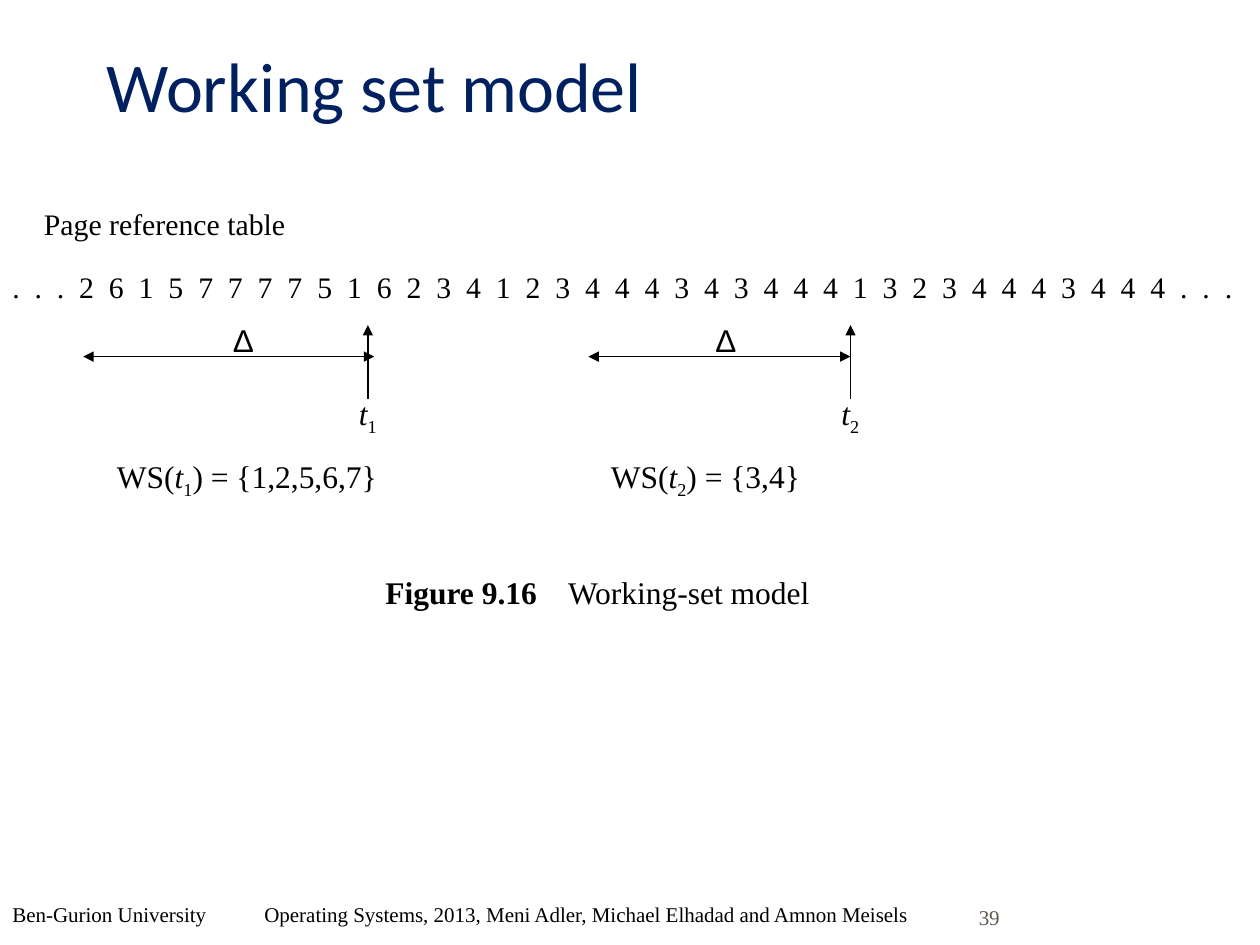
from dataclasses import dataclass

from lxml.etree import SubElement
from pptx import Presentation
from pptx.dml.color import RGBColor
from pptx.enum.shapes import MSO_CONNECTOR
from pptx.enum.text import MSO_ANCHOR
from pptx.oxml.ns import qn
from pptx.util import Inches, Pt

BLACK = RGBColor(0x00, 0x00, 0x00)
NAVY = RGBColor(0x00, 0x20, 0x60)
TAUPE = RGBColor(0x5E, 0x57, 0x4E)
SERIF = "Times New Roman"

REFERENCES = "2615777751623412344434344413234443444"


@dataclass(frozen=True)
class Span:
    text: str
    italic: bool = False
    bold: bool = False
    subscript: bool = False


@dataclass(frozen=True)
class WorkingSet:
    index: str
    pages: str
    window_start: float
    window_end: float
    time: float
    delta_left: float
    formula_left: float
    formula_width: float


WORKING_SETS = [
    WorkingSet("1", "1,2,5,6,7", 0.66, 2.97, 2.92, 1.75, 0.83, 2.33),
    WorkingSet("2", "3,4", 4.67, 6.75, 6.75, 5.58, 4.75, 1.83),
]


def add_text(page, text: str | list[Span], left: float, top: float, width: float,
             height: float, *, size: float = 18, font: str = SERIF,
             color: RGBColor = BLACK, anchor=MSO_ANCHOR.TOP, wrap: bool = True,
             tab: float | None = None, spacing: float = 0):
    """Add a one-paragraph box; tab is in inches, letter spacing in points."""
    box = page.shapes.add_textbox(Inches(left), Inches(top), Inches(width), Inches(height))
    frame = box.text_frame
    frame.word_wrap = wrap
    frame.vertical_anchor = anchor
    para = frame.paragraphs[0]
    if tab is not None:
        stops = SubElement(para._p.get_or_add_pPr(), qn("a:tabLst"))
        SubElement(stops, qn("a:tab"), pos=str(Inches(tab)), algn="l")
    for span in [Span(text)] if isinstance(text, str) else text:
        run = para.add_run()
        run.text = span.text
        run.font.name = font
        run.font.size = Pt(size)
        run.font.color.rgb = color
        run.font.italic = span.italic
        run.font.bold = span.bold
        properties = run.font._element
        if span.subscript:
            properties.set("baseline", "-25000")
        if spacing:
            properties.set("spc", str(round(spacing * 100)))
    return box


def add_arrow(page, start: tuple[float, float], end: tuple[float, float],
              both_ends: bool = False) -> None:
    """Draw an arrow with its head at start, and at end too if both_ends."""
    arrow = page.shapes.add_connector(MSO_CONNECTOR.STRAIGHT,
                                      *map(Inches, start), *map(Inches, end))
    arrow.line.color.rgb = BLACK
    arrow.line.width = Pt(1)
    line = arrow.line._get_or_add_ln()
    for name in ["a:headEnd", "a:tailEnd"] if both_ends else ["a:headEnd"]:
        SubElement(line, qn(name), type="triangle")
    SubElement(arrow._element.spPr, qn("a:effectLst"))


def add_working_set(page, item: WorkingSet) -> None:
    time_name = [Span("t", italic=True), Span(item.index, subscript=True)]
    add_arrow(page, (item.time, 2.58), (item.time, 3.17))
    add_arrow(page, (item.window_start, 2.83), (item.window_end, 2.83), both_ends=True)
    add_text(page, "Δ", item.delta_left, 2.5, 0.33, 0.4, font="Arial")
    add_text(page, time_name, item.time - 0.17, 3.08, 0.5, 0.44)
    formula = [Span("WS("), *time_name, Span(f") = {{{item.pages}}}")]
    add_text(page, formula, item.formula_left, 3.58, item.formula_width, 0.44)


def main() -> None:
    deck = Presentation()
    deck.slide_width, deck.slide_height = Inches(10), Inches(7.5)
    page = deck.slides.add_slide(deck.slide_layouts[6])

    title = add_text(page, "Working set model", 0.75, 0.42, 8.5, 0.58, size=40,
                     font="Calibri", color=NAVY, anchor=MSO_ANCHOR.BOTTOM)
    title.text_frame.margin_top = title.text_frame.margin_bottom = 0

    add_text(page, " ".join(["...", *REFERENCES, "..."]).replace("...", ". . ."),
             0, 2.08, 10, 0.39, size=17, wrap=False, spacing=2.12)
    add_text(page, "Page reference table", 0.25, 1.58, 2.58, 0.39, size=17)
    for item in WORKING_SETS:
        add_working_set(page, item)
    add_text(page, [Span("Figure 9.16", bold=True), Span("\tWorking-set model")],
             2.96, 4.5, 4.08, 0.4, tab=1.45)

    add_text(page, "39", 7.67, 7.13, 2, 0.3, size=12, color=TAUPE)
    add_text(page, "Ben-Gurion University\tOperating Systems, 2013, Meni Adler, "
             "Michael Elhadad and Amnon Meisels", 0, 7.11, 10, 0.5, size=12, tab=2)
    deck.save("out.pptx")


if __name__ == "__main__":
    main()
